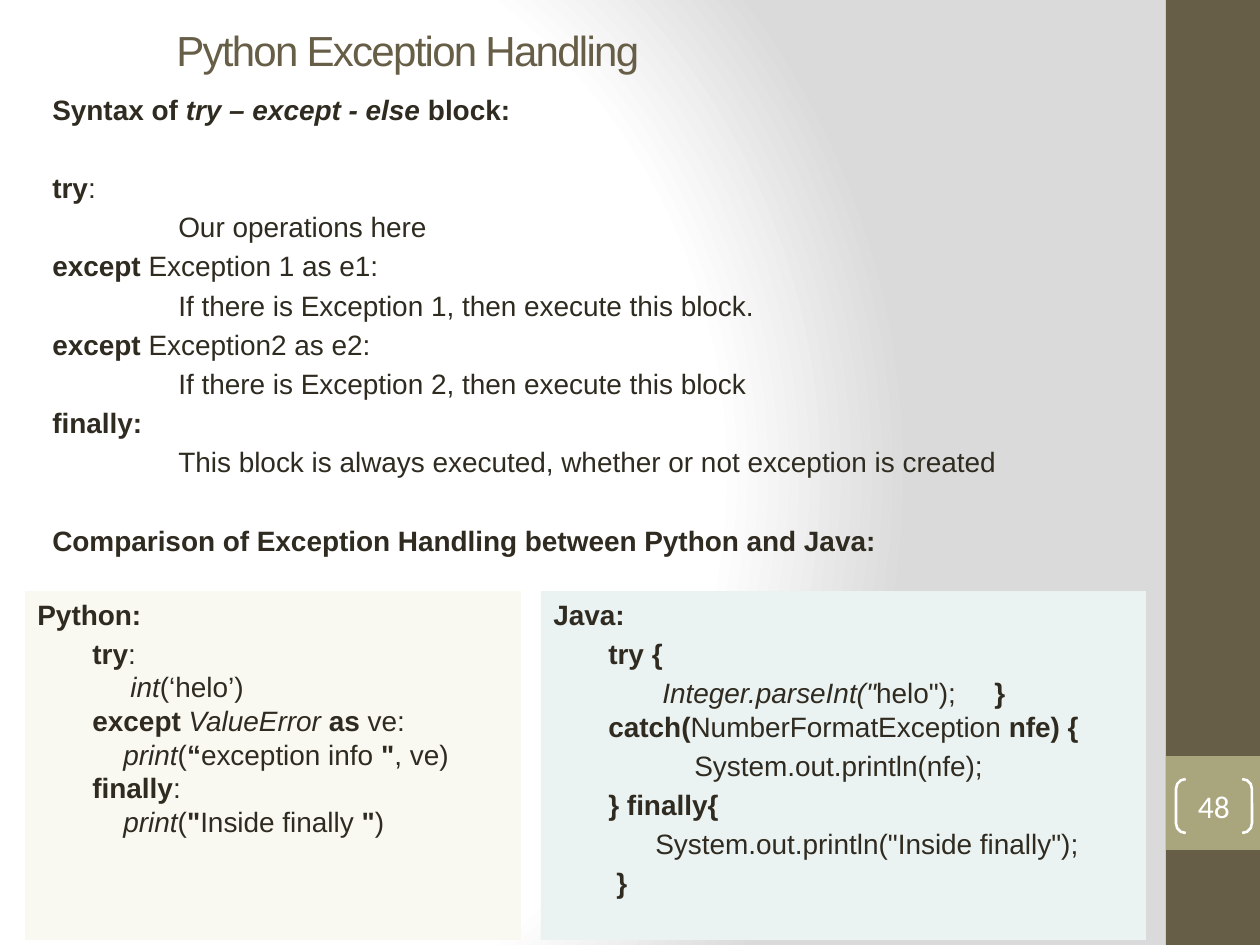
"""Build the slide on Python exception handling and its Java counterpart."""

from dataclasses import dataclass
from typing import Optional

from lxml.etree import SubElement
from pptx import Presentation
from pptx.dml.color import RGBColor
from pptx.enum.shapes import MSO_SHAPE as Preset
from pptx.enum.text import MSO_ANCHOR as Anchor, PP_ALIGN as Align
from pptx.oxml import parse_xml
from pptx.oxml.ns import nsdecls, qn
from pptx.util import Emu, Pt

PX = 914400 / 126
COLOURS = {
    "ink": "2F2B20", "brown": "675E47", "olive": "A9A57C", "white": "FFFFFF",
    "cream": "F9F8F1", "mint": "EBF2F2", "grey": "DADADA",
}
GAP, NO_GAP, BLANK_GAP = 3.2, 0, 25.6
LEVEL, BODY, BODY_DEEP = 55, 15, 141


@dataclass(frozen=True)
class Box:
    left: int
    top: int
    width: int
    height: int


@dataclass(frozen=True)
class Span:
    text: str
    style: str = ""


@dataclass(frozen=True)
class Line:
    indent: int
    spans: tuple[Span, ...]
    before: float = GAP
    tab: Optional[int] = None


@dataclass(frozen=True)
class Panel:
    box: Box
    fill: str
    lines: tuple[Line, ...] = ()


def px(value: int) -> Emu:
    return Emu(round(value * PX))


def bounds(box: Box) -> tuple[Emu, ...]:
    return px(box.left), px(box.top), px(box.width), px(box.height)


def rgb(name: str) -> RGBColor:
    return RGBColor.from_string(COLOURS[name])


def line(indent: int, *parts: str, before: float = GAP, tab: Optional[int] = None) -> Line:
    """Read each part as 'style|text', where style is any of b and i."""
    spans = (part.split("|", 1) for part in parts)
    return Line(indent, tuple(Span(text, style) for style, text in spans), before, tab)


def add_span(para, span: Span, size: int, colour: str, font: str = "Arial"):
    run = para.add_run()
    run.text = span.text
    run.font.name, run.font.size = font, Pt(size)
    run.font.bold, run.font.italic = "b" in span.style, "i" in span.style
    run.font.color.rgb = rgb(colour)
    return run


def write_lines(frame, lines: tuple[Line, ...]) -> None:
    frame.word_wrap = True
    frame.vertical_anchor = Anchor.TOP
    for index, item in enumerate(lines):
        para = frame.add_paragraph() if index else frame.paragraphs[0]
        para.alignment = Align.LEFT
        para.line_spacing = Pt(19.2)
        para.space_before = Pt(item.before if index else 0)
        props = para._p.get_or_add_pPr()
        props.set("marL", "0")
        props.set("indent", str(px(item.indent)))
        if item.tab:
            stops = SubElement(props, qn("a:tabLst"))
            SubElement(stops, qn("a:tab"), pos=str(px(item.tab)), algn="l")
        for span in item.spans:
            add_span(para, span, 16, "ink")


def add_panel(page, panel: Panel) -> None:
    shape = page.shapes.add_shape(Preset.RECTANGLE, *bounds(panel.box))
    shape.shadow.inherit = False
    shape.fill.solid()
    shape.fill.fore_color.rgb = rgb(panel.fill)
    shape.line.fill.background()
    if panel.lines:
        write_lines(shape.text_frame, panel.lines)


def add_title(page, box: Box, indent: int, text: str) -> None:
    frame = page.shapes.add_textbox(*bounds(box)).text_frame
    frame.word_wrap = True
    frame.vertical_anchor = Anchor.MIDDLE
    para = frame.paragraphs[0]
    para._p.get_or_add_pPr().set("marL", str(px(indent)))
    run = add_span(para, Span(text), 24, "brown")
    run._r.get_or_add_rPr().set("spc", "-100")


def add_page_number(page, box: Box, text: str) -> None:
    shape = page.shapes.add_shape(Preset.DOUBLE_BRACKET, *bounds(box))
    shape.shadow.inherit = False
    shape.adjustments[0] = 0.18
    shape.fill.background()
    shape.line.color.rgb = rgb("white")
    shape.line.width = Pt(1.5)
    frame = shape.text_frame
    frame.margin_left = frame.margin_right = frame.margin_top = frame.margin_bottom = 0
    frame.vertical_anchor = Anchor.MIDDLE
    frame.paragraphs[0].alignment = Align.CENTER
    add_span(frame.paragraphs[0], Span(text), 18, "white", "Calibri")


def set_background(page) -> None:
    stops = "".join(
        f'<a:gs pos="{percent * 1000}"><a:srgbClr val="{COLOURS[name]}"/></a:gs>'
        for percent, name in ((0, "white"), (75, "white"), (100, "grey"))
    )
    page.element.cSld.insert(0, parse_xml(
        f'<p:bg {nsdecls("p", "a")}><p:bgPr><a:gradFill rotWithShape="1">'
        f'<a:gsLst>{stops}</a:gsLst><a:path path="circle">'
        '<a:fillToRect l="20000" t="50000" r="100000" b="50000"/></a:path>'
        '</a:gradFill><a:effectLst/></p:bgPr></p:bg>'
    ))


SYNTAX = (
    line(BODY, "b|Syntax of ", "bi|try – except - else", "b| block:"),
    line(BODY, "b|try", "|:", before=BLANK_GAP),
    line(BODY_DEEP, "|Our operations here"),
    line(BODY, "b|except ", "|Exception 1 as e1:"),
    line(BODY_DEEP, "|If there is Exception 1, then execute this block."),
    line(BODY, "b|except ", "|Exception2 as e2:"),
    line(BODY_DEEP, "|If there is Exception 2, then execute this block"),
    line(BODY, "b|finally:"),
    line(BODY_DEEP, "|This block is always executed, whether or not exception is created"),
    line(BODY, "b|Comparison of Exception Handling between Python and Java:", before=BLANK_GAP),
)
JAVA = (
    line(0, "b|Java:"),
    line(LEVEL, "b|try {"),
    line(109, 'i|Integer.parseInt("', '|helo");\t', "b|}", tab=465),
    line(LEVEL, "b|catch(", "|NumberFormatException ", "b|nfe) {", before=NO_GAP),
    line(141, "|System.out.println(nfe);"),
    line(LEVEL, "b|} finally{"),
    line(102, '|System.out.println("Inside finally");'),
    line(63, "b|}"),
)
PYTHON = (
    line(0, "b|Python:"),
    line(LEVEL, "b|try", "|:"),
    line(93, "i|int", "|(‘helo’)", before=NO_GAP),
    line(LEVEL, "b|except ", "i|ValueError ", "b|as ", "|ve:", before=NO_GAP),
    line(86, "i|print", "|(", "b|“", "|exception info ", 'b|"', "|, ve)", before=NO_GAP),
    line(LEVEL, "b|finally", "|:", before=NO_GAP),
    line(86, "i|print", "|(", 'b|"', "|Inside finally ", 'b|"', "|)", before=NO_GAP),
)
SIDEBAR = (Panel(Box(1166, 0, 94, 945), "brown"), Panel(Box(1166, 756, 94, 94), "olive"))
COMPARISON = (
    Panel(Box(541, 591, 605, 349), "mint", JAVA),
    Panel(Box(25, 591, 496, 349), "cream", PYTHON),
)


def main() -> None:
    deck = Presentation()
    deck.slide_width, deck.slide_height = px(1260), px(945)
    page = deck.slides.add_slide(deck.slide_layouts[6])
    set_background(page)
    for panel in SIDEBAR:
        add_panel(page, panel)
    add_title(page, Box(54, 16, 1050, 68), 110, "Python Exception Handling")
    syntax_box = page.shapes.add_textbox(*bounds(Box(25, 86, 1121, 855)))
    write_lines(syntax_box.text_frame, SYNTAX)
    add_page_number(page, Box(1176, 779, 76, 54), "48")
    for panel in COMPARISON:
        add_panel(page, panel)
    deck.save("out.pptx")


if __name__ == "__main__":
    main()
